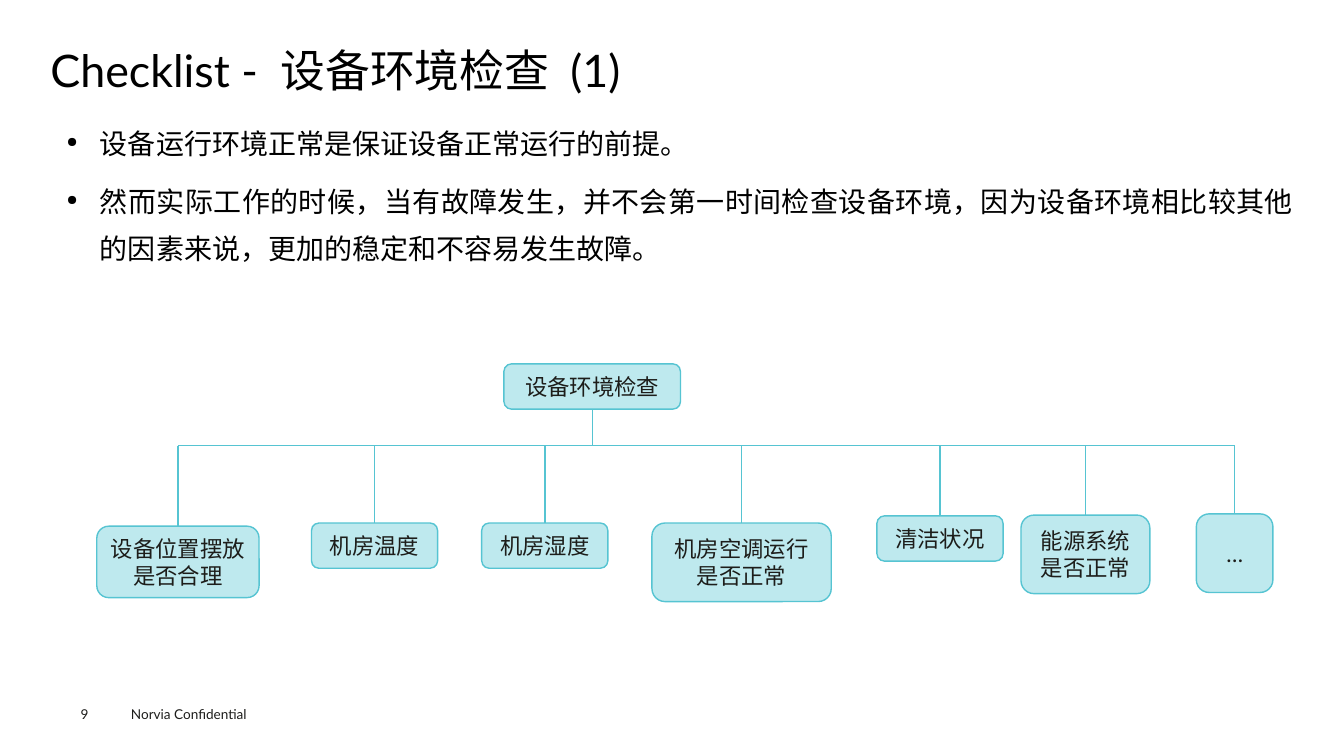
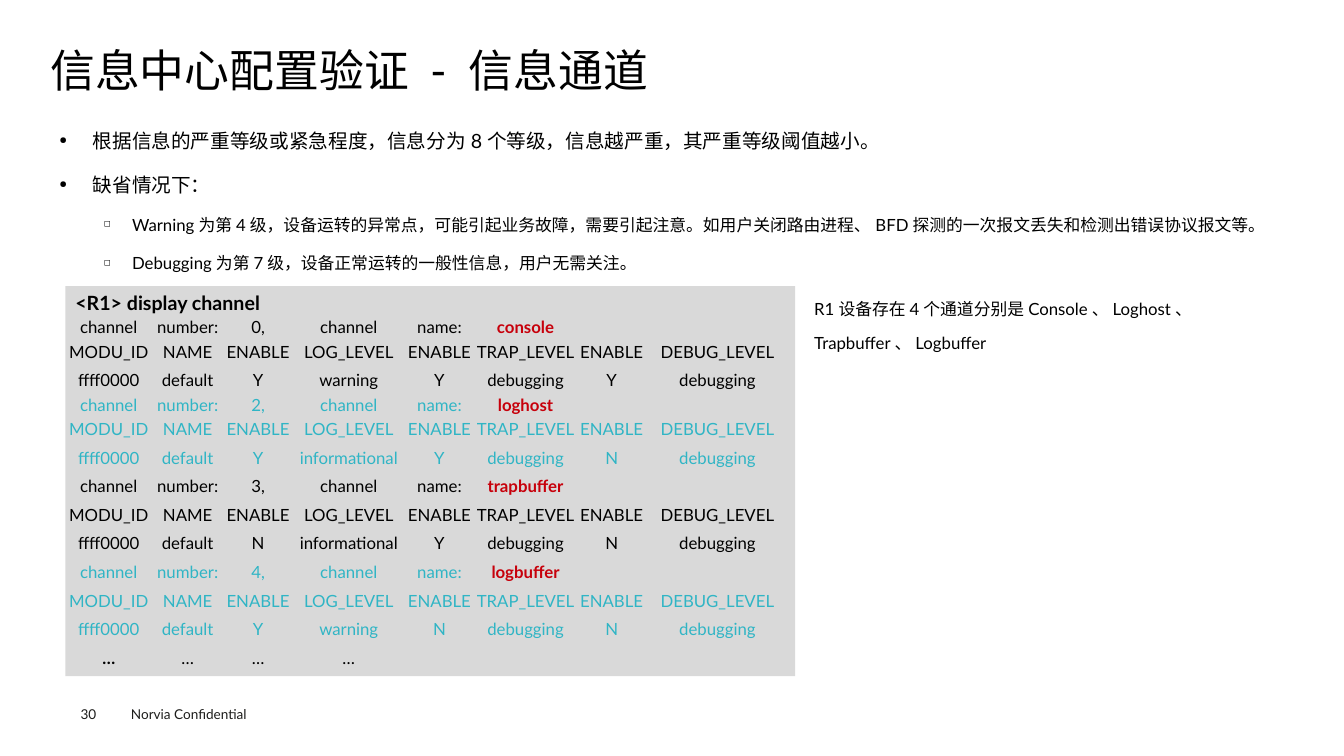
import pptx
import pptx.util
import pptx.dml.color
import pptx.enum.shapes
import pptx.enum.text
import pptx.oxml.ns
import lxml.etree

Cm = pptx.util.Cm
Pt = pptx.util.Pt
qn = pptx.oxml.ns.qn
ALIGN = pptx.enum.text.PP_ALIGN
ANCHOR = pptx.enum.text.MSO_ANCHOR
SHAPE = pptx.enum.shapes.MSO_SHAPE
FONT = "Lato"
BLACK, DARK, RED, TEAL = "000000", "1D1D1A", "C7000B", "30B5C5"
PALE, EDGE, GREY = "BEE9EE", "56C4D2", "D9D9D9"
NO_GRID = "{2D5ABB26-0587-4C30-8999-92F81FD0307C}"
# Bullet per level: sign, left margin, hang, space before
MARKS = [("●", 0.84, 0.84, 7.9), ("◻", 1.83, 0.71, 7.2)]


def rgb(code):
    return pptx.dml.color.RGBColor.from_string(code)


def mark(para, level):
    """Give a paragraph the bullet and indent of its level."""
    sign, left, hang, _ = MARKS[level]
    para.level = level
    props = para._p.get_or_add_pPr()
    props.set("marL", str(Cm(left)))
    props.set("indent", str(-Cm(hang)))
    lxml.etree.SubElement(props, qn("a:buSzPct"), val="50000")
    lxml.etree.SubElement(props, qn("a:buChar"), char=sign)


def write(frame, text, size=12, color=BLACK, bold=False, align=ALIGN.LEFT,
          lead=None, level=None, more=False):
    """Write the lines of a text; more adds them after those already there."""
    for num, line in enumerate(text.split("\n")):
        fresh = num == 0 and not more
        para = frame.paragraphs[0] if fresh else frame.add_paragraph()
        if level is not None:
            mark(para, level)
            if not fresh:
                para.space_before = Pt(MARKS[level][3])
        para.alignment = align
        if lead:
            para.line_spacing = lead
        if not line:
            lxml.etree.SubElement(para._p, qn("a:endParaRPr"),
                                  sz=str(size * 100))
            continue
        run = para.add_run()
        run.text = line
        run.font.name, run.font.size = FONT, Pt(size)
        run.font.bold, run.font.color.rgb = bold, rgb(color)


class Deck:
    def __init__(self):
        self.show = pptx.Presentation()
        self.show.slide_width, self.show.slide_height = Cm(33.87), Cm(19.05)

    def page(self, title, num):
        """Start a slide with its title and footer."""
        self.slide = self.show.slides.add_slide(self.show.slide_layouts[5])
        self.shapes = self.slide.shapes
        head = self.shapes.title
        head.left, head.top = Cm(1.27), Cm(1.24)
        head.width, head.height = Cm(31.37), Cm(1.35)
        self.setup(head.text_frame, 0, 0)
        write(head.text_frame, title, size=32, lead=0.9)
        foot = {"size": 9.7, "color": "1D1D1B"}
        write(self.text(3.05, 17.65, 4.06, 0.69), "Norvia Confidential", **foot)
        write(self.text(2.03, 17.78, 1.4, 0.41, 0, 0), num, **foot)

    def setup(self, frame, side=0.25, edge=0.13, anchor=ANCHOR.TOP):
        frame.word_wrap = True
        frame.auto_size = pptx.enum.text.MSO_AUTO_SIZE.NONE
        frame.vertical_anchor = anchor
        frame.margin_left = frame.margin_right = Cm(side)
        frame.margin_top = frame.margin_bottom = Cm(edge)

    def text(self, left, top, width, height, side=0.25, edge=0.13):
        box = self.shapes.add_textbox(Cm(left), Cm(top), Cm(width), Cm(height))
        self.setup(box.text_frame, side, edge)
        return box.text_frame

    def list(self, left, top, items):
        """Add a bullet list of (level, size, text) items."""
        frame = self.text(left, top, 31.37, 13.56, 0.23, 0.1)
        for num, (level, size, text) in enumerate(items):
            write(frame, text, size=size, lead=1.4, level=level, more=num > 0,
                  align=ALIGN.LEFT if level else ALIGN.JUSTIFY)

    def box(self, kind, left, top, width, height, fill, line=None):
        shape = self.shapes.add_shape(kind, Cm(left), Cm(top),
                                      Cm(width), Cm(height))
        shape.shadow.inherit = False
        shape.fill.solid()
        shape.fill.fore_color.rgb = rgb(fill)
        if line:
            shape.line.color.rgb = rgb(line)
            shape.line.width = Pt(1)
        else:
            shape.line.fill.background()
        self.setup(shape.text_frame)
        return shape

    def node(self, text, left, top, width, height):
        shape = self.box(SHAPE.ROUNDED_RECTANGLE, left, top, width, height,
                         PALE, EDGE)
        self.setup(shape.text_frame, 0, 0, ANCHOR.MIDDLE)
        write(shape.text_frame, text, size=16, color=DARK, align=ALIGN.CENTER)
        return shape

    def line(self, start, end):
        link = self.shapes.add_connector(
            pptx.enum.shapes.MSO_CONNECTOR.STRAIGHT, *start, *end)
        link.line.color.rgb = rgb(EDGE)
        link.line.width = Pt(1)
        lxml.etree.SubElement(link._element.spPr, qn("a:effectLst"))
        return link

    def table(self, left, top, cols, rows, cells):
        """Add a bare table; each cell is a pair of text and format."""
        grid = self.shapes.add_table(len(rows), len(cols), Cm(left), Cm(top),
                                     Cm(sum(cols)), Cm(sum(rows))).table
        grid.first_row = grid.horz_banding = False
        grid._tbl.tblPr.find(qn("a:tableStyleId")).text = NO_GRID
        for col, width in zip(grid.columns, cols):
            col.width = Cm(width)
        for row, height, line in zip(grid.rows, rows, cells):
            row.height = Cm(height)
            for cell, (text, form) in zip(row.cells, line):
                cell.fill.background()
                cell.vertical_anchor = ANCHOR.MIDDLE
                cell.margin_left = cell.margin_right = 0
                cell.margin_top = cell.margin_bottom = 0
                write(cell.text_frame, text, align=ALIGN.CENTER, **form)


def checks(deck):
    deck.page("Checklist - 设备环境检查 (1)", "9")
    deck.list(1.45, 2.74, [
        (0, 20, "设备运行环境正常是保证设备正常运行的前提。"),
        (0, 20, "然而实际工作的时候，当有故障发生，并不会第一时间检查设备环境，"
                "因为设备环境相比较其他的因素来说，更加的稳定和不容易发生故障。")])

    # Tree of checks
    root = deck.node("设备环境检查", 12.7, 9.17, 4.45, 1.14)
    nodes = [deck.node(*item) for item in [
        ("设备位置摆放\n是否合理", 2.44, 13.26, 4.09, 1.8),
        ("机房温度", 7.85, 13.18, 3.18, 1.14),
        ("机房湿度", 12.14, 13.18, 3.18, 1.14),
        ("机房空调运行\n是否正常", 16.43, 13.18, 4.52, 1.98),
        ("清洁状况", 22.1, 13, 3.18, 1.14),
        ("能源系统\n是否正常", 25.73, 12.98, 3.25, 1.98),
        ("…", 30.15, 12.95, 1.93, 1.98)]]

    # Lines from the root to the bus and on to each check
    bus = Cm(11.23)
    mids = [node.left + node.width // 2 for node in nodes]
    deck.line((mids[0], bus), (mids[-1], bus))
    mid = root.left + root.width // 2
    trunk = deck.line((mid, root.top + root.height), (mid, bus))
    trunk.begin_connect(root, 2)
    for node, mid in zip(nodes, mids):
        deck.line((mid, bus), (mid, node.top)).end_connect(node, 0)


def channels(deck):
    deck.page("信息中心配置验证 - 信息通道", "30")
    deck.list(1.27, 2.92, [
        (0, 14, "根据信息的严重等级或紧急程度，信息分为8个等级，"
                "信息越严重，其严重等级阈值越小。"),
        (0, 14, "缺省情况下："),
        (1, 12, "Warning为第4级，设备运转的异常点，可能引起业务故障，需要引起注意。"
                "如用户关闭路由进程、BFD探测的一次报文丢失和检测出错误协议报文等。"),
        (1, 12, "Debugging为第7级，设备正常运转的一般性信息，用户无需关注。")])

    # Output panel
    panel = deck.box(SHAPE.RECTANGLE, 1.65, 7.21, 18.39, 9.83, GREY)
    write(panel.text_frame, "<R1> display channel", size=14, bold=True)

    # Three rows for each channel, then a row of dots
    heads = ("MODU_ID NAME ENABLE LOG_LEVEL "
             "ENABLE TRAP_LEVEL ENABLE DEBUG_LEVEL").split()
    cells = []
    for num, name, color, log, level, trap, debug in [
            ("0,", "console", BLACK, "Y", "warning", "Y", "Y"),
            ("2,", "loghost", TEAL, "Y", "informational", "Y", "N"),
            ("3,", "trapbuffer", BLACK, "N", "informational", "Y", "N"),
            ("4,", "logbuffer", TEAL, "Y", "warning", "N", "N")]:
        first = ["channel", "number:", num, "channel", "name:", name, "", ""]
        last = ["ffff0000", "default", log, level, trap, "debugging",
                debug, "debugging"]
        block = [[(text, {"color": color}) for text in row]
                 for row in (first, heads, last)]
        block[0][5] = (name, {"color": RED, "bold": True})
        cells += block
    cells.append([("…", {"bold": True})] + [("…", {})] * 3 + [("", {})] * 4)
    rows = [0.48 if num in (0, 3) else 0.72 for num in range(len(cells))]
    cols = [2.18, 1.8, 1.75, 2.82, 1.75, 2.59, 1.75, 3.58]
    deck.table(1.65, 7.98, cols, rows, cells)

    # Side note
    write(deck.text(20.27, 7.06, 11.3, 1.85),
          "R1设备存在4个通道分别是Console、Loghost、Trapbuffer、Logbuffer",
          lead=Pt(24))


def main():
    deck = Deck()
    checks(deck)
    channels(deck)
    deck.show.save("out.pptx")


if __name__ == "__main__":
    main()
